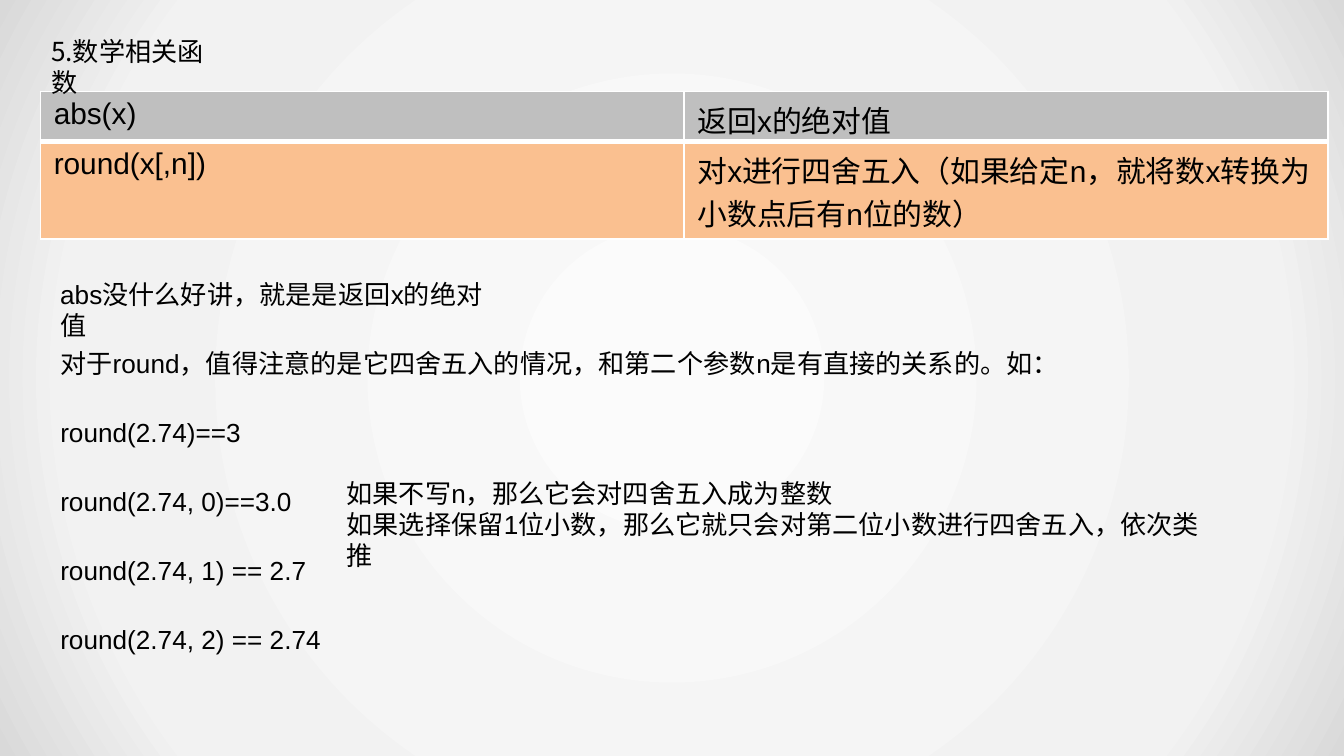
from pptx import Presentation
from pptx.dml.color import RGBColor
from pptx.enum.text import MSO_ANCHOR, MSO_AUTO_SIZE, PP_ALIGN
from pptx.oxml import parse_xml
from pptx.oxml.ns import nsdecls, qn
from pptx.util import Inches, Pt

TOP, LEFT = MSO_ANCHOR.TOP, PP_ALIGN.LEFT
NO_FIT = MSO_AUTO_SIZE.NONE
WIDTH = 10
HEIGHT = WIDTH * 9 / 16
TITLE_ONLY = 5
LATIN, CHINESE = "Arial", "Noto Sans CJK SC"
LINE_HEIGHT = 0.34
NOTE_LEFT, NOTE_TOP, NOTE_BOTTOM = 0.35, 2.02, 4.59
GLOW = [(0, "FBFBFB"), (79, "F2F2F2"), (100, "D9D9D9")]
FUNCTIONS = [
    ("BFBFBF", 0.37, 3, ["abs(x)", "返回x的绝对值"]),
    ("FAC090", 0.73, 1,
     ["round(x[,n])", "对x进行四舍五入（如果给定n，就将数x转换为小数点后有n位的数）"]),
]
NOTES = [
    (3.53, "abs没什么好讲，就是是返回x的绝对值"),
    (7.61, "对于round，值得注意的是它四舍五入的情况，和第二个参数n是有直接的关系的。如："),
    (2.78, "round(2.74)==3"),
    (2.78, "round(2.74, 0)==3.0"),
    (2.78, "round(2.74, 1) == 2.7"),
    (2.78, "round(2.74, 2) == 2.74"),
]
REMARKS = [
    "如果不写n，那么它会对四舍五入成为整数",
    "如果选择保留1位小数，那么它就只会对第二位小数进行四舍五入，依次类推",
]


def colour(value):
    """Turn a hex string into a colour."""
    return RGBColor.from_string(value)


def apply(target, formats):
    """Set each named attribute of the target."""
    for name, value in formats.items():
        setattr(target, name, value)


def write(frame, lines, size, font=LATIN):
    """Fill a text frame with one paragraph for each line."""
    apply(frame, {"word_wrap": True, "vertical_anchor": TOP})
    for index, line in enumerate(lines):
        para = frame.add_paragraph() if index else frame.paragraphs[0]
        para.alignment = LEFT
        span = para.add_run()
        span.text = line
        apply(span.font, {"size": Pt(size), "name": font})
        span.font.color.rgb = colour("000000")


def paint_background(page):
    """Give the page a grey glow spreading from its centre."""
    page.background.fill.solid()
    solid = page.element.find(".//" + qn("p:bgPr")).find(qn("a:solidFill"))
    stops = "".join(
        f'<a:gs pos="{share * 1000}"><a:srgbClr val="{value}"/></a:gs>'
        for share, value in GLOW)
    glow = parse_xml(
        f'<a:gradFill {nsdecls("a")} rotWithShape="1"><a:gsLst>{stops}</a:gsLst>'
        '<a:path path="circle"><a:fillToRect l="50000" t="50000" r="50000" b="50000"/>'
        '</a:path></a:gradFill>')
    solid.getparent().replace(solid, glow)


def place_title(page, box, text):
    """Bring the title placeholder to the front, into the box, and fill it."""
    title = page.shapes.title
    title.element.getparent().append(title.element)
    apply(title, dict(zip(("left", "top", "width", "height"), map(Inches, box))))
    title.text_frame.auto_size = NO_FIT
    write(title.text_frame, [text], 14, CHINESE)


def border_cell(cell, bottom):
    """Draw white borders round a cell, with the given bottom width."""
    properties = cell._tc.get_or_add_tcPr()
    widths = {"lnL": 1, "lnR": 1, "lnT": 1, "lnB": bottom}
    for index, (side, width) in enumerate(widths.items()):
        properties.insert(index, parse_xml(
            f'<a:{side} {nsdecls("a")} w="{Pt(width)}"><a:solidFill>'
            f'<a:srgbClr val="FFFFFF"/></a:solidFill></a:{side}>'))


def place_functions(page, box):
    """Build the table of functions inside the box."""
    table = page.shapes.add_table(len(FUNCTIONS), 2, *map(Inches, box)).table
    for row, (fill, height, bottom, texts) in zip(table.rows, FUNCTIONS):
        row.height = Inches(height)
        for cell, text in zip(row.cells, texts):
            cell.fill.solid()
            cell.fill.fore_color.rgb = colour(fill)
            cell.margin_bottom = 0
            border_cell(cell, bottom)
            write(cell.text_frame, [text], 16)
            for properties in cell._tc.iter(qn("a:rPr")):
                properties.append(parse_xml(
                    f'<a:ea {nsdecls("a")} typeface="{CHINESE}"/>'))


def place_text(page, box, lines):
    """Add a text box holding the lines."""
    frame = page.shapes.add_textbox(*map(Inches, box)).text_frame
    write(frame, lines, 14)


def place_notes(page, left, top, bottom):
    """Stack the notes and examples evenly between the first and last tops."""
    pitch = (bottom - top) / (len(NOTES) - 1)
    for index, (width, text) in enumerate(NOTES):
        place_text(page, (left, top + index * pitch, width, LINE_HEIGHT), [text])


def main():
    """Build and save the deck."""
    deck = Presentation()
    apply(deck, {"slide_width": Inches(WIDTH), "slide_height": Inches(HEIGHT)})
    page = deck.slides.add_slide(deck.slide_layouts[TITLE_ONLY])
    paint_background(page)
    place_functions(page, (0.3, 0.68, 9.58, 1.1))
    place_title(page, (0.28, 0.21, 1.53, LINE_HEIGHT), "5.数学相关函数")
    place_notes(page, NOTE_LEFT, NOTE_TOP, NOTE_BOTTOM)
    place_text(page, (2.48, 3.5, 6.72, 0.57), REMARKS)
    deck.save("out.pptx")


if __name__ == "__main__":
    main()
